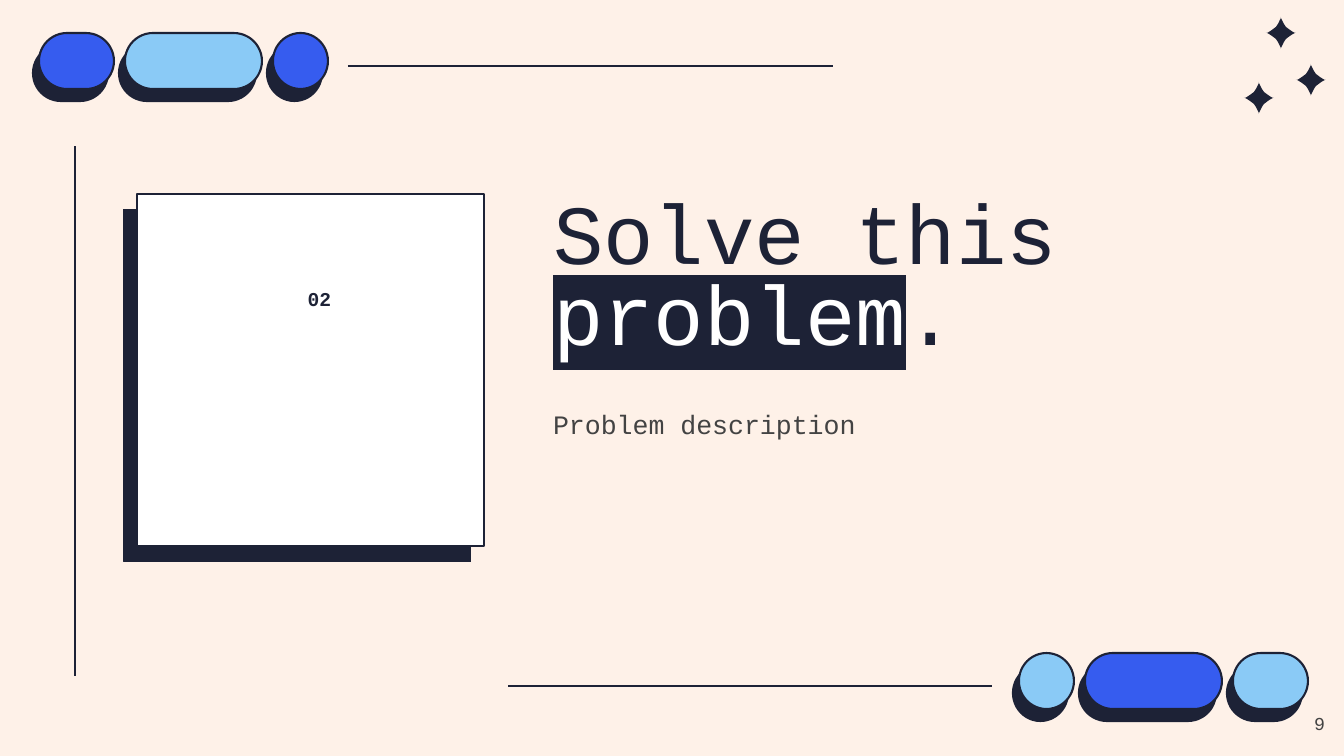
"""Build the "Solve this problem" slide with pill, star and card decor."""
from math import cos, pi, sin

from lxml import etree
from pptx import Presentation
from pptx.dml.color import RGBColor
from pptx.enum.shapes import MSO_CONNECTOR, MSO_SHAPE
from pptx.enum.text import MSO_ANCHOR, MSO_AUTO_SIZE, PP_ALIGN
from pptx.oxml.ns import qn
from pptx.util import Pt

LINE = MSO_CONNECTOR.STRAIGHT
RECT, OVAL, PILL = MSO_SHAPE.RECTANGLE, MSO_SHAPE.OVAL, MSO_SHAPE.ROUNDED_RECTANGLE
LEFT, MID, RIGHT = PP_ALIGN.LEFT, PP_ALIGN.CENTER, PP_ALIGN.RIGHT
TOP, FIXED = MSO_ANCHOR.TOP, MSO_AUTO_SIZE.NONE
INK = RGBColor(0x1D, 0x22, 0x36)
BLUE = RGBColor(0x36, 0x5C, 0xEF)
SKY = RGBColor(0x8A, 0xCA, 0xF6)
CREAM = RGBColor(0xFE, 0xF1, 0xE8)
WHITE = RGBColor(0xFF, 0xFF, 0xFF)
GREY = RGBColor(0x43, 0x43, 0x43)
SCALE = 12192000 / 1344


def draw(kind, box, fill, weight=1.5):
    """Draw a filled shape with an ink outline."""
    shape = slide.shapes.add_shape(kind, *[round(n * SCALE) for n in box])
    shape.shadow.inherit = False
    shape.fill.solid()
    shape.fill.fore_color.rgb = fill
    shape.line.color.rgb = INK
    shape.line.width = Pt(weight)
    if kind == PILL:
        shape.adjustments[0] = 0.5


def write(shape, box, inset, runs, font, para):
    """Place a text shape and fill its one paragraph with coloured runs."""
    for name, n in zip(("left", "top", "width", "height"), box):
        setattr(shape, name, round(n * SCALE))
    frame = shape.text_frame
    look = {"word_wrap": True, "auto_size": FIXED, "vertical_anchor": TOP}
    for side in ("left", "top", "right", "bottom"):
        look["margin_" + side] = round(inset * SCALE)
    for name, value in look.items():
        setattr(frame, name, value)
    line = frame.paragraphs[0]
    for name, value in para.items():
        setattr(line, name, value)
    for text, ink in runs:
        run = line.add_run()
        run.text = text
        for name, value in font.items():
            setattr(run.font, name, value)
        run.font.name = "Courier New"
        run.font.color.rgb = ink
    return line


deck = Presentation()
deck.slide_width, deck.slide_height = round(1344 * SCALE), round(756 * SCALE)
slide = deck.slides.add_slide(deck.slide_layouts[1])
slide.background.fill.solid()
slide.background.fill.fore_color.rgb = CREAM

for x, y in ((1259, 98), (1281, 33), (1311, 80)):
    turns = [k * pi / 16 for k in range(32)]
    tips = [(x + 15 * cos(t) ** 3, y + 16 * sin(t) ** 3) for t in turns]
    path = slide.shapes.build_freeform(*tips[0], scale=SCALE)
    path.add_line_segments(tips[1:], close=True)
    star = path.convert_to_shape()
    star.shadow.inherit = False
    star.fill.solid()
    star.fill.fore_color.rgb = INK
    star.line.fill.background()

for ends in ((75, 676, 75, 146), (348, 66, 833, 66), (992, 686, 508, 686)):
    rule = slide.shapes.add_connector(LINE, *[round(n * SCALE) for n in ends])
    rule.line.color.rgb = INK
    rule.line.width = Pt(1.5)
    etree.SubElement(rule._element.spPr, qn("a:effectLst"))

long, wide, disc = (PILL, 75), (PILL, 137), (OVAL, 55)
rows = (
    (39, 33, (long, wide, disc), (BLUE, SKY, BLUE)),
    (1019, 653, (disc, wide, long), (SKY, BLUE, SKY)),
)
for x, y, forms, fills in rows:
    for (kind, width), fill in zip(forms, fills):
        draw(kind, (x - 6, y + 12, width, 56), INK)
        draw(kind, (x, y, width, 56), fill)
        x += width + 11

draw(RECT, (124, 210, 347, 352), INK, 0.75)
draw(RECT, (137, 194, 347, 352), WHITE)

title = write(
    slide.shapes.title, (540, 187, 698, 228), 13,
    (("Solve this ", INK), ("problem", WHITE), (".", INK)),
    {"size": Pt(60)}, {"alignment": LEFT, "line_spacing": 0.8},
)
mark = etree.Element(qn("a:highlight"))
etree.SubElement(mark, qn("a:srgbClr"), val=str(INK))
title.runs[1].font._element.find(qn("a:solidFill")).addnext(mark)

body = write(
    slide.placeholders[1], (540, 390, 698, 84), 13,
    (("Problem description", GREY),), {"size": Pt(19)},
    {"alignment": LEFT, "line_spacing": 1.15, "space_before": Pt(0), "space_after": Pt(21)},
)
props = body._p.get_or_add_pPr()
props.set("marL", "0")
props.set("indent", "0")
etree.SubElement(props, qn("a:buNone"))

notes = (
    ("02", INK, (180, 282, 279, 192), 5, {"size": Pt(14), "bold": True}, MID),
    ("9", GREY, (1258, 699, 80, 57), 13, {"size": Pt(13)}, RIGHT),
)
for text, ink, box, inset, font, side in notes:
    label = slide.shapes.add_textbox(0, 0, 0, 0)
    write(label, box, inset, ((text, ink),), font, {"alignment": side})

deck.save("out.pptx")
